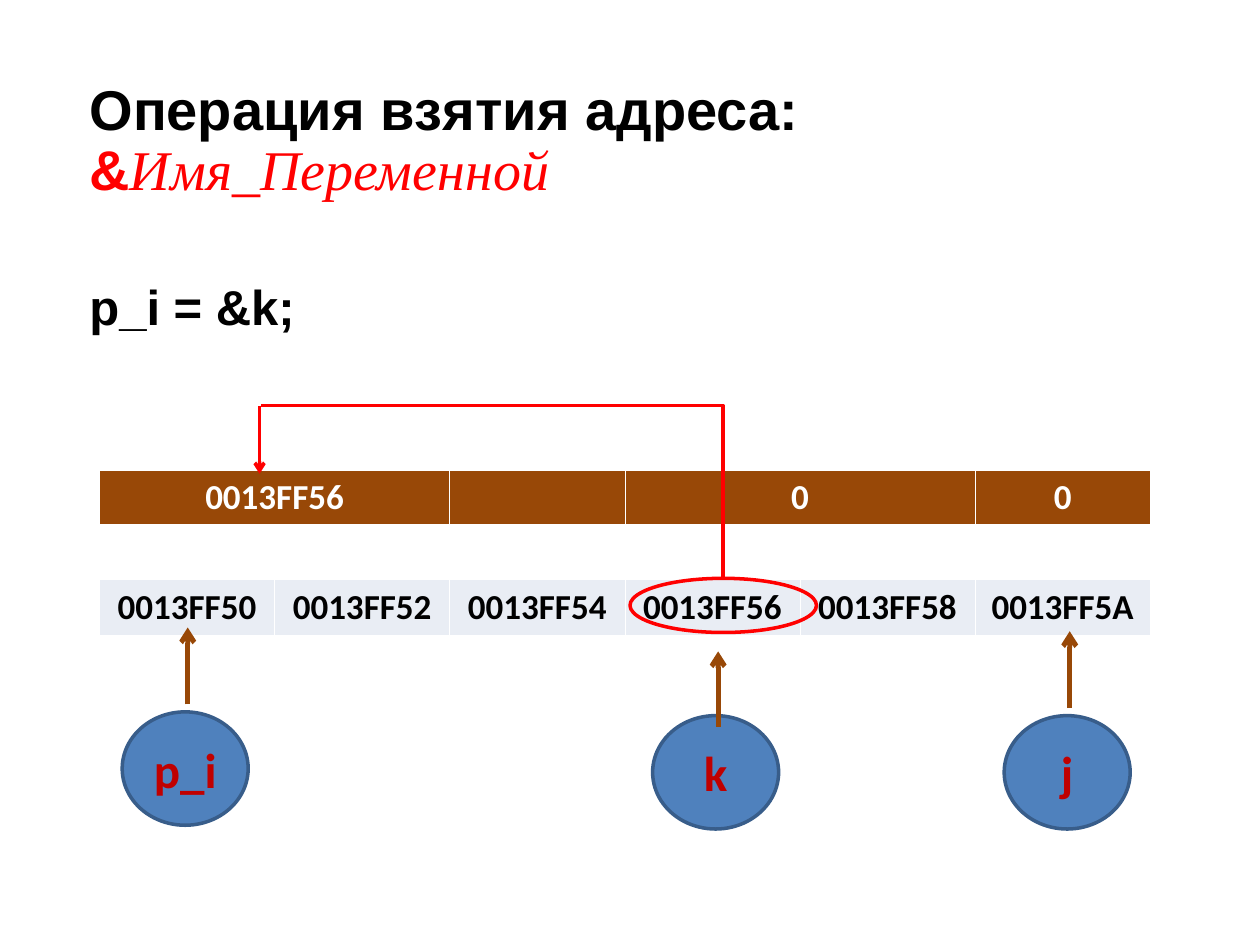
from pptx import Presentation
from pptx.dml.color import RGBColor
from pptx.enum.shapes import MSO_CONNECTOR as LINK, MSO_SHAPE as SHAPE
from pptx.enum.text import MSO_ANCHOR as ANCHOR, MSO_AUTO_SIZE as AUTO, PP_ALIGN as ALIGN
from pptx.oxml.ns import qn
from pptx.util import Inches, Pt
from lxml.etree import SubElement

COLORS = {
    "black": "000000", "white": "FFFFFF", "red": "FF0000", "brown": "984807",
    "pale": "E9EDF4", "blue": "4F81BD", "navy": "385D8A", "crimson": "C00000",
}
COLUMN_WIDTH, ROW_HEIGHT = 1.39, 0.43

# Memory contents: first column, columns spanned, value
VALUES = [(0, 2, "0013FF56"), (2, 1, ""), (3, 2, "0"), (5, 1, "0")]
ADDRESSES = [f"0013FF5{digit}" for digit in "02468A"]

# Variables: name, circle left and top, arrow start and end heights
VARIABLES = [
    ("p_i ", 0.97, 5.65, 5.59, 4.98),
    ("k", 5.18, 5.68, 5.77, 5.17),
    ("j", 7.97, 5.68, 5.62, 5.01),
]


def rgb(name):
    return RGBColor.from_string(COLORS[name])


def add_run(paragraph, text, size, color, font="Calibri", bold=True, italic=False):
    run = paragraph.add_run()
    run.text = text
    run.font.name = font
    run.font.size = Pt(size)
    run.font.bold = bold
    run.font.italic = italic
    run.font.color.rgb = rgb(color)


def plain_paragraph(paragraph, space_before):
    """Make a list paragraph without bullet or indent."""
    props = paragraph._p.get_or_add_pPr()
    props.set("marL", "0")
    props.set("indent", "0")
    SubElement(props, qn("a:buNone"))
    paragraph.line_spacing = 0.9
    paragraph.space_before = Pt(space_before)


def add_text(slide):
    slide.shapes.title._element.getparent().remove(slide.shapes.title._element)
    body = slide.placeholders[1]
    body.left, body.top = Inches(0.61), Inches(0.6)
    body.width, body.height = Inches(8.71), Inches(6.05)
    frame = body.text_frame
    frame.word_wrap = True
    frame.auto_size = AUTO.NONE

    heading = frame.paragraphs[0]
    plain_paragraph(heading, 0)
    add_run(heading, "Операция взятия адреса:", 32, "black", "Arial")
    heading.add_line_break()
    add_run(heading, "&", 32, "red", "Arial")
    add_run(heading, "Имя_Переменной", 32, "red", "Times New Roman", bold=False, italic=True)

    statement = frame.add_paragraph()
    plain_paragraph(statement, 46)
    add_run(statement, "p_i = &k;", 28, "black", "Arial")


def style_cell(cell, fill, bottom_width=0.45):
    props = cell._tc.get_or_add_tcPr()
    for side in "LRTB":
        width = bottom_width if side == "B" else 0.45
        border = SubElement(props, qn(f"a:ln{side}"), w=str(int(Pt(width))))
        SubElement(SubElement(border, qn("a:solidFill")), qn("a:srgbClr"), val=COLORS["white"])
    cell.fill.solid()
    cell.fill.fore_color.rgb = rgb(fill)


def fill_cell(cell, text, color):
    paragraph = cell.text_frame.paragraphs[0]
    paragraph.alignment = ALIGN.CENTER
    if text:
        add_run(paragraph, text, 20, color)


def add_memory_table(slide):
    count = len(ADDRESSES)
    memory = slide.shapes.add_table(
        3, count, Inches(0.79), Inches(3.73),
        Inches(count * COLUMN_WIDTH), Inches(3 * ROW_HEIGHT)).table
    for column in memory.columns:
        column.width = Inches(COLUMN_WIDTH)
    row_styles = [("brown", 1.47), ("white", 0.45), ("pale", 0.45)]
    for row, (fill, bottom_width) in zip(memory.rows, row_styles):
        row.height = Inches(ROW_HEIGHT)
        for cell in row.cells:
            style_cell(cell, fill, bottom_width)

    for first, span, value in VALUES:
        cell = memory.cell(0, first)
        if span > 1:
            cell.merge(memory.cell(0, first + span - 1))
        fill_cell(cell, value, "white")
    for index, address in enumerate(ADDRESSES):
        fill_cell(memory.cell(2, index), address, "black")


def add_ellipse(slide, left, top, width, height, line, fill=None):
    ellipse = slide.shapes.add_shape(
        SHAPE.OVAL, Inches(left), Inches(top), Inches(width), Inches(height))
    ellipse.shadow.inherit = False
    ellipse.line.color.rgb = rgb(line)
    ellipse.line.width = Pt(2)
    if fill:
        ellipse.fill.solid()
        ellipse.fill.fore_color.rgb = rgb(fill)
    else:
        ellipse.fill.background()
    return ellipse


def add_link(slide, start, end, color, width, kind=LINK.STRAIGHT, arrow=True):
    link = slide.shapes.add_connector(kind, *map(Inches, start + end))
    link.line.color.rgb = rgb(color)
    link.line.width = Pt(width)
    if arrow:
        SubElement(link.line._get_or_add_ln(), qn("a:tailEnd"), type="arrow")
    SubElement(link._element.spPr, qn("a:effectLst"))
    return link


def add_variable(slide, name, left, top, arrow_start, arrow_end):
    circle = add_ellipse(slide, left, top, 1, 0.9, "navy", "blue")
    frame = circle.text_frame
    frame.vertical_anchor = ANCHOR.MIDDLE
    frame.paragraphs[0].alignment = ALIGN.CENTER
    add_run(frame.paragraphs[0], name, 28, "crimson")
    arrow_x = left + 0.52
    add_link(slide, (arrow_x, arrow_start), (arrow_x, arrow_end), "brown", 2.75)


def add_address_route(slide):
    """Lead the address of k up and over to the value of p_i."""
    add_ellipse(slide, 5, 4.59, 1.48, 0.43, "red")
    # One-corner elbow, turned so that it rises first and then runs left
    elbow = add_link(slide, (3.22, 5.74), (4.59, 2.07), "red", 2, LINK.ELBOW, arrow=False)
    props = elbow._element.spPr
    props.find(qn("a:prstGeom")).set("prst", "bentConnector2")
    props.find(qn("a:xfrm")).set("rot", str(270 * 60000))
    add_link(slide, (2.06, 3.22), (2.06, 3.76), "red", 2)


def main():
    deck = Presentation()
    deck.slide_width, deck.slide_height = Inches(10), Inches(7.5)
    slide = deck.slides.add_slide(deck.slide_layouts[1])
    add_text(slide)
    add_memory_table(slide)
    for variable in VARIABLES:
        add_variable(slide, *variable)
    add_address_route(slide)
    deck.save("out.pptx")


if __name__ == "__main__":
    main()
